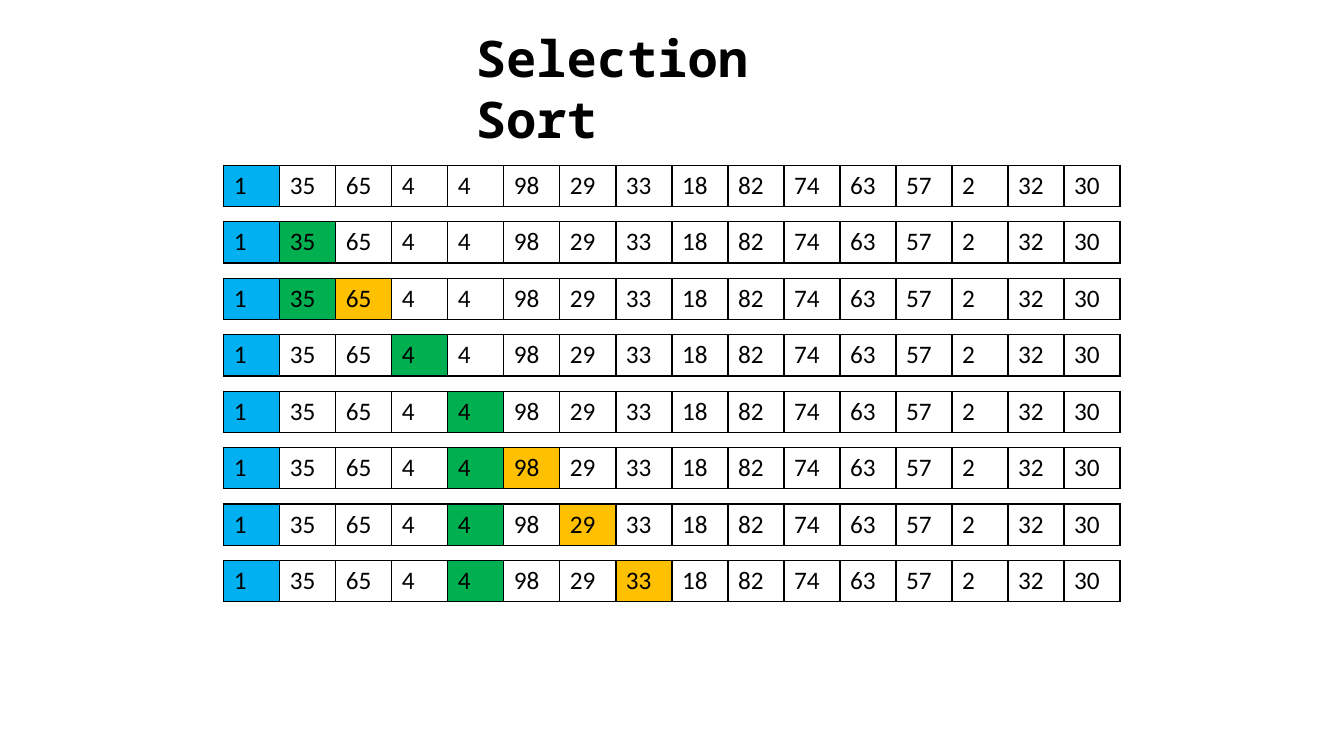
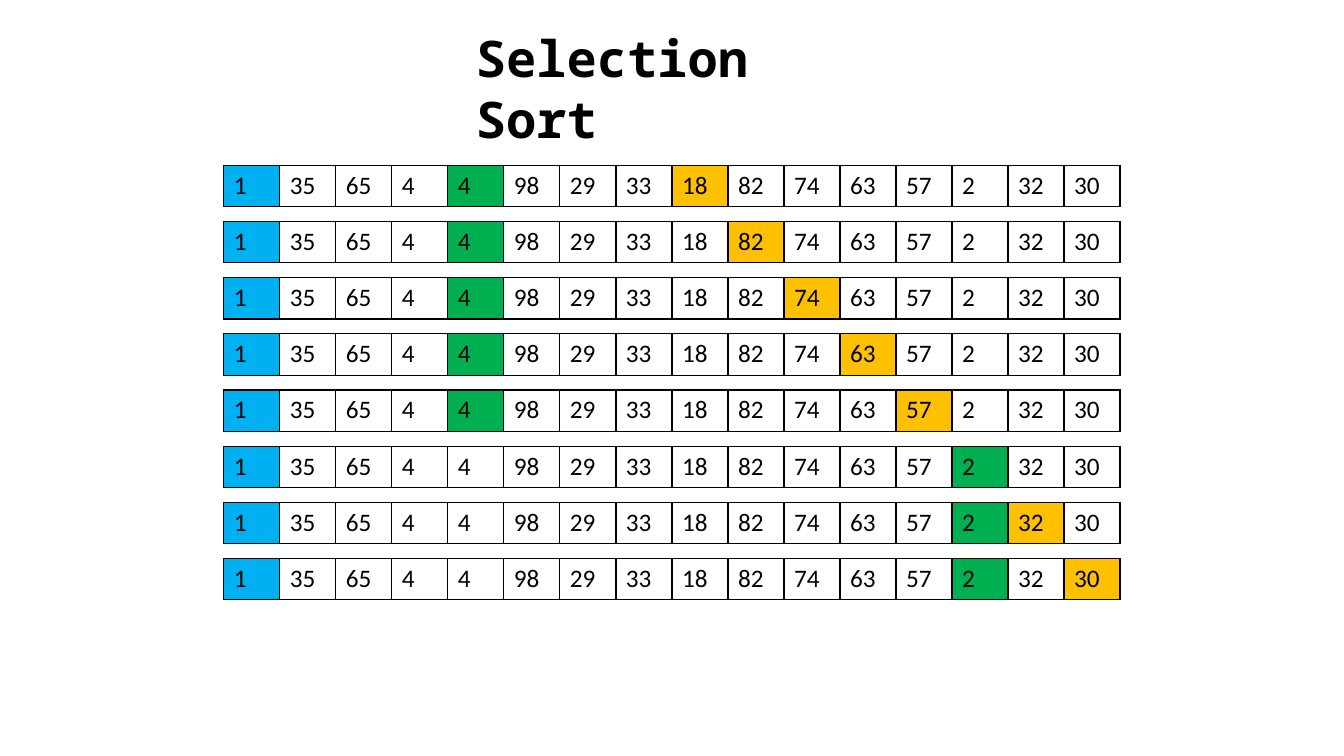
from lxml import etree
from pptx import Presentation
from pptx.dml.color import RGBColor
from pptx.enum.text import MSO_ANCHOR, MSO_AUTO_SIZE, PP_ALIGN
from pptx.oxml.ns import qn
from pptx.util import Inches, Pt

BLACK = RGBColor(0x00, 0x00, 0x00)
WHITE = RGBColor(0xFF, 0xFF, 0xFF)
SORTED_BLUE = RGBColor(0x00, 0xB0, 0xF0)
MINIMUM_GREEN = RGBColor(0x00, 0xB0, 0x50)
SCAN_ORANGE = RGBColor(0xFF, 0xC0, 0x00)
TITLE_FONT, NUMBER_FONT = "Noto Sans Mono", "Calibri"

# Content: the array, and (minimum index, scanned index) for each step
TITLE = "Selection Sort"
NUMBERS = [1, 35, 65, 4, 4, 98, 29, 33, 18, 82, 74, 63, 57, 2, 32, 30]
SORTED_COUNT = 1
SLIDES = [
    {"last_top": 5.56,
     "steps": [(None, None), (1, None), (1, 2), (3, None),
               (4, None), (4, 5), (4, 6), (4, 7)]},
    {"last_top": 5.54,
     "steps": [(4, 8), (4, 9), (4, 10), (4, 11),
               (4, 12), (13, None), (13, 14), (13, 15)]},
]

# Layout of the array rows, in inches
ARRAY_LEFT, FIRST_TOP = 2.22, 1.64
ARRAY_WIDTH, ARRAY_HEIGHT = 8.89, 0.41


def add_run(paragraph, text, font_name, size, bold=False):
    run = paragraph.add_run()
    run.text = text
    run.font.name = font_name
    run.font.size = Pt(size)
    run.font.bold = bold
    run.font.color.rgb = BLACK


def set_title(slide):
    title = slide.shapes.title
    title.left, title.top = Inches(4.62), Inches(0.22)
    title.width, title.height = Inches(4.09), Inches(0.71)
    frame = title.text_frame
    frame.word_wrap = True
    frame.auto_size = MSO_AUTO_SIZE.SHAPE_TO_FIT_TEXT
    frame.vertical_anchor = MSO_ANCHOR.TOP
    paragraph = frame.paragraphs[0]
    paragraph.alignment = PP_ALIGN.LEFT
    add_run(paragraph, TITLE, TITLE_FONT, 36, bold=True)


def add_borders(cell):
    properties = cell._tc.get_or_add_tcPr()
    for position, side in enumerate(("a:lnL", "a:lnR", "a:lnT", "a:lnB")):
        line = etree.Element(qn(side), w=str(Pt(1)))
        fill = etree.SubElement(line, qn("a:solidFill"))
        etree.SubElement(fill, qn("a:srgbClr"), val=str(BLACK))
        properties.insert(position, line)


def cell_color(index, minimum, scanned):
    if index < SORTED_COUNT:
        return SORTED_BLUE
    return {minimum: MINIMUM_GREEN, scanned: SCAN_ORANGE}.get(index, WHITE)


def add_array(slide, top, minimum, scanned):
    array = slide.shapes.add_table(
        1, len(NUMBERS), Inches(ARRAY_LEFT), Inches(top),
        Inches(ARRAY_WIDTH), Inches(ARRAY_HEIGHT)).table
    array.first_row = array.horz_banding = False
    for index, number in enumerate(NUMBERS):
        array.columns[index].width = Inches(ARRAY_WIDTH / len(NUMBERS))
        cell = array.cell(0, index)
        cell.fill.solid()
        cell.fill.fore_color.rgb = cell_color(index, minimum, scanned)
        add_borders(cell)
        add_run(cell.text_frame.paragraphs[0], str(number), NUMBER_FONT, 18)


def main():
    deck = Presentation()
    deck.slide_width, deck.slide_height = Inches(13.33), Inches(7.5)
    for content in SLIDES:
        slide = deck.slides.add_slide(deck.slide_layouts[5])
        set_title(slide)
        steps = content["steps"]
        pitch = (content["last_top"] - FIRST_TOP) / (len(steps) - 1)
        for row, (minimum, scanned) in enumerate(steps):
            add_array(slide, FIRST_TOP + row * pitch, minimum, scanned)
    deck.save("out.pptx")


if __name__ == "__main__":
    main()
